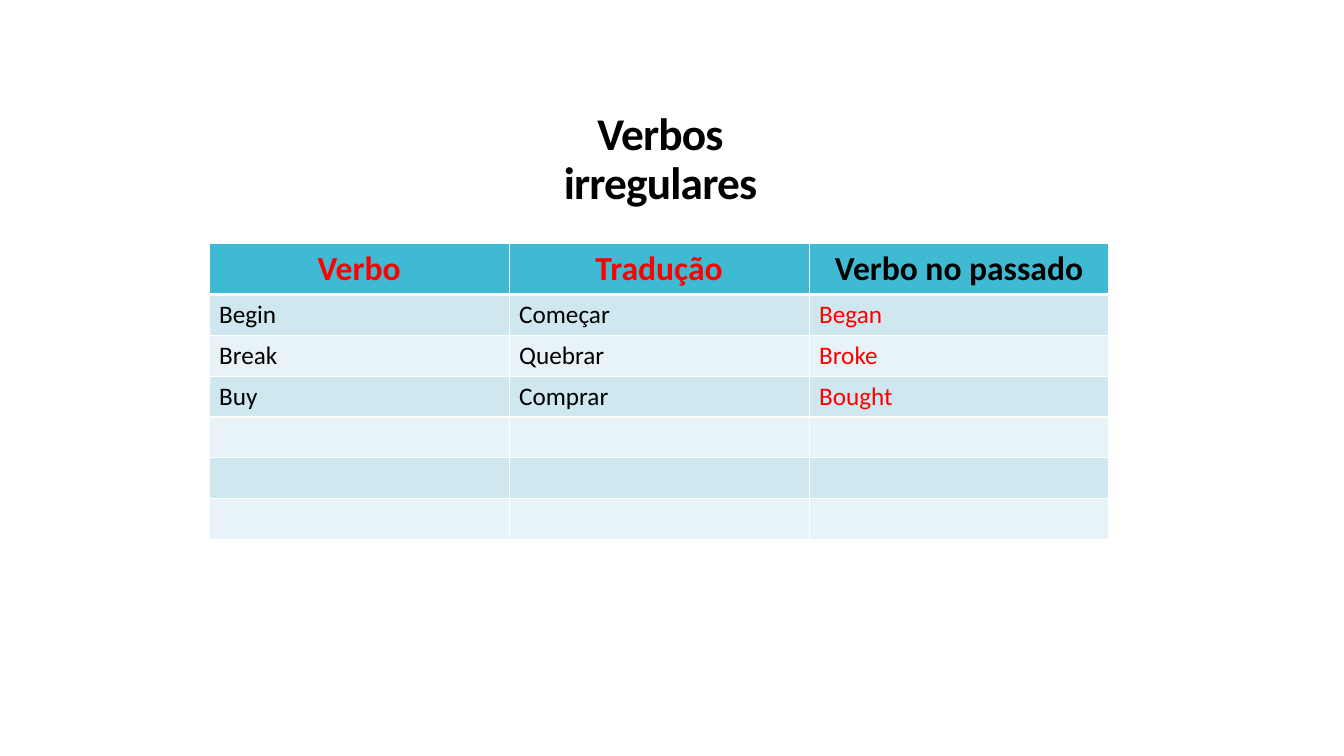
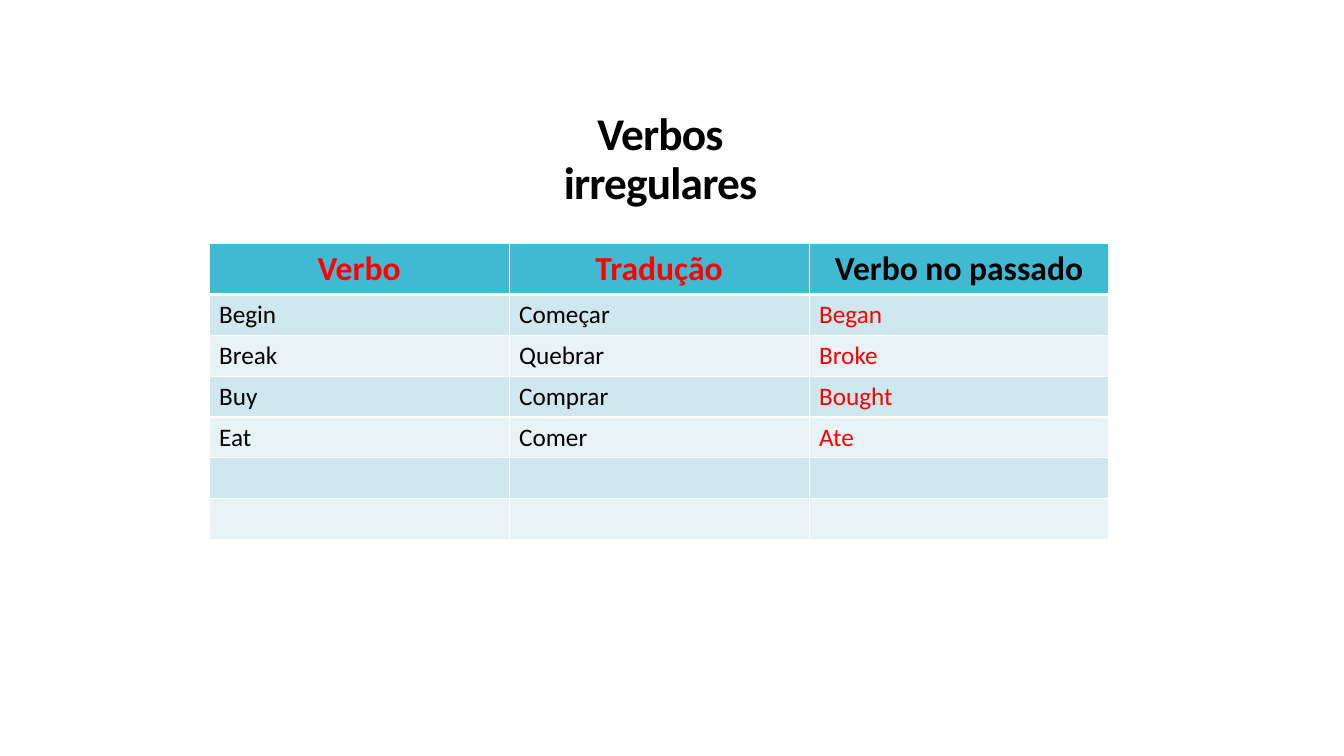
"""Build two slides with a growing table of irregular verbs."""
from pptx import Presentation, util as u
from pptx.dml.color import RGBColor
from pptx.enum import text
from pptx.oxml import parse_xml
from pptx.oxml.ns import nsdecls

BLACK, RED, WHITE = "000000", "FF0000", "FFFFFF"
HEADER_FILL, BAND_FILLS = "40BAD2", ("CFE7EE", "E8F3F7")
HEADERS = ("Verbo", "Tradução", "Verbo no passado")
HEADER_COLORS = (RED, RED, BLACK)
BODY_COLORS = (BLACK, BLACK, RED)
VERBS = [
    ("Begin", "Começar", "Began"),
    ("Break", "Quebrar", "Broke"),
    ("Buy", "Comprar", "Bought"),
    ("Eat", "Comer", "Ate"),
]
ROW_COUNT = 7
COLUMN_WIDTH = u.Cm(7.56)
HEADER_HEIGHT, ROW_HEIGHT = u.Cm(1.26), u.Cm(1.03)


def style_font(font, size, color, bold):
    font.name = "Calibri"
    font.size = u.Pt(size)
    font.bold = bold
    font.color.rgb = RGBColor.from_string(color)


def add_border(cell, side, points):
    cell._tc.get_or_add_tcPr().append(parse_xml(
        f'<a:ln{side} {nsdecls("a")} w="{u.Pt(points)}"><a:solidFill>'
        f'<a:srgbClr val="{WHITE}"/></a:solidFill></a:ln{side}>'))


presentation = Presentation()
presentation.slide_width = u.Cm(33.87)
presentation.slide_height = u.Cm(19.05)

for verb_count in (3, 4):
    slide = presentation.slides.add_slide(presentation.slide_layouts[5])

    title = slide.shapes.title
    title.left, title.top = u.Cm(11.63), u.Cm(2.53)
    title.width, title.height = u.Cm(10.03), u.Cm(3)
    frame = title.text_frame
    frame.text = "Verbos\virregulares"
    frame.word_wrap = True
    frame.auto_size = text.MSO_AUTO_SIZE.NONE
    frame.vertical_anchor = text.MSO_ANCHOR.MIDDLE
    paragraph = frame.paragraphs[0]
    paragraph.alignment = text.PP_ALIGN.CENTER
    paragraph.line_spacing = 0.9
    for run in paragraph.runs:
        style_font(run.font, 32.4, BLACK, True)
        run._r.get_or_add_rPr().set("spc", "-60")

    table = slide.shapes.add_table(
        ROW_COUNT, len(HEADERS), u.Cm(5.27), u.Cm(6.13),
        COLUMN_WIDTH * len(HEADERS),
        HEADER_HEIGHT + ROW_HEIGHT * (ROW_COUNT - 1)).table
    table.horz_banding = False
    for column in table.columns:
        column.width = COLUMN_WIDTH

    rows = [HEADERS] + VERBS[:verb_count]
    rows += [("",) * len(HEADERS)] * (ROW_COUNT - len(rows))
    for row_index, words in enumerate(rows):
        is_header = row_index == 0
        table.rows[row_index].height = HEADER_HEIGHT if is_header else ROW_HEIGHT
        fill = HEADER_FILL if is_header else BAND_FILLS[(row_index - 1) % 2]
        colors = HEADER_COLORS if is_header else BODY_COLORS
        for column_index, word in enumerate(words):
            cell = table.cell(row_index, column_index)
            add_border(cell, "L", 1)
            add_border(cell, "R", 1)
            add_border(cell, "T", 3 if row_index == 1 else 1)
            add_border(cell, "B", 3 if is_header else 1)
            cell.fill.solid()
            cell.fill.fore_color.rgb = RGBColor.from_string(fill)
            cell.text_frame.text = word
            paragraph = cell.text_frame.paragraphs[0]
            paragraph.alignment = (
                text.PP_ALIGN.CENTER if is_header else text.PP_ALIGN.JUSTIFY)
            for run in paragraph.runs:
                style_font(run.font, 24 if is_header else 18,
                           colors[column_index], is_header)

presentation.save("out.pptx")
